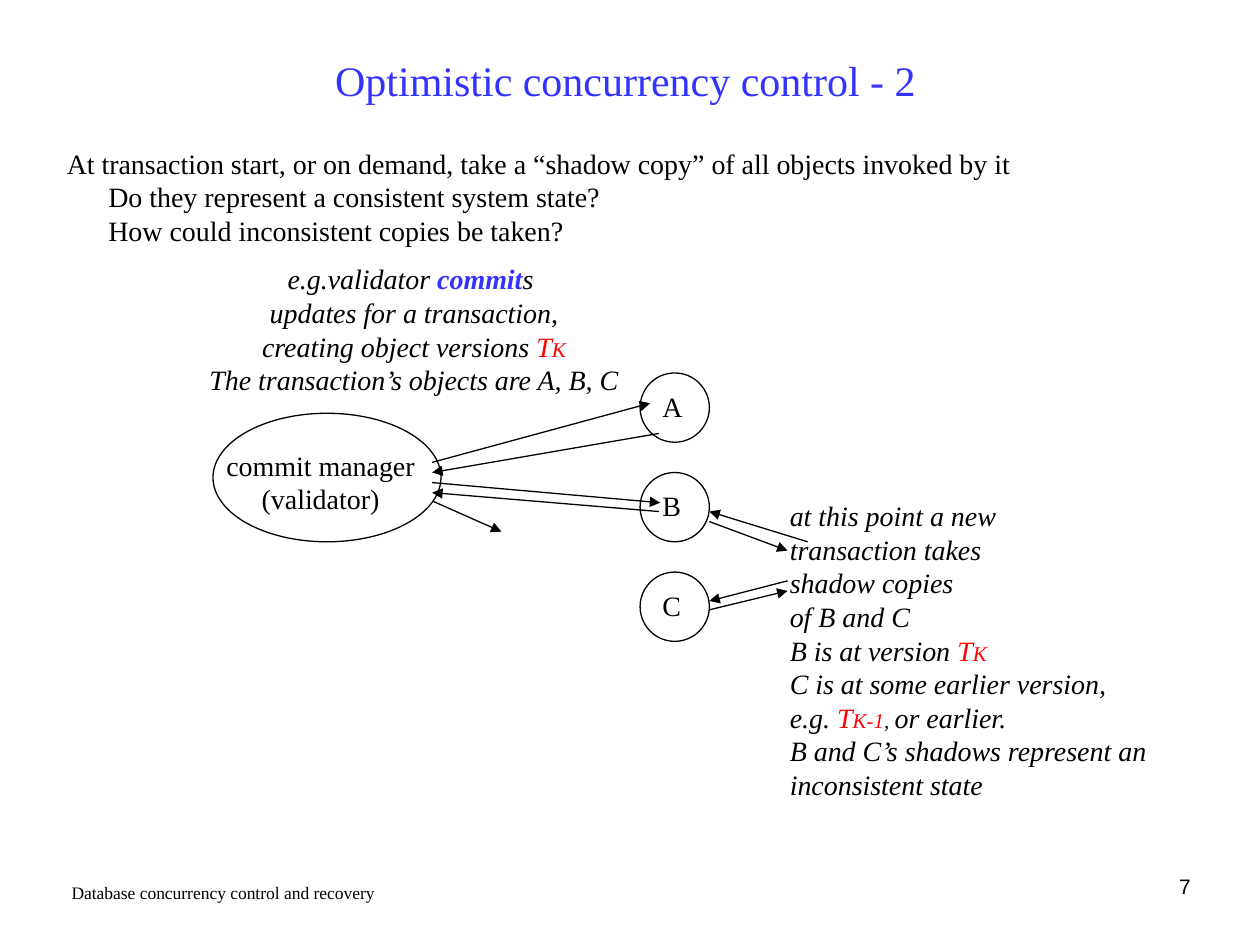
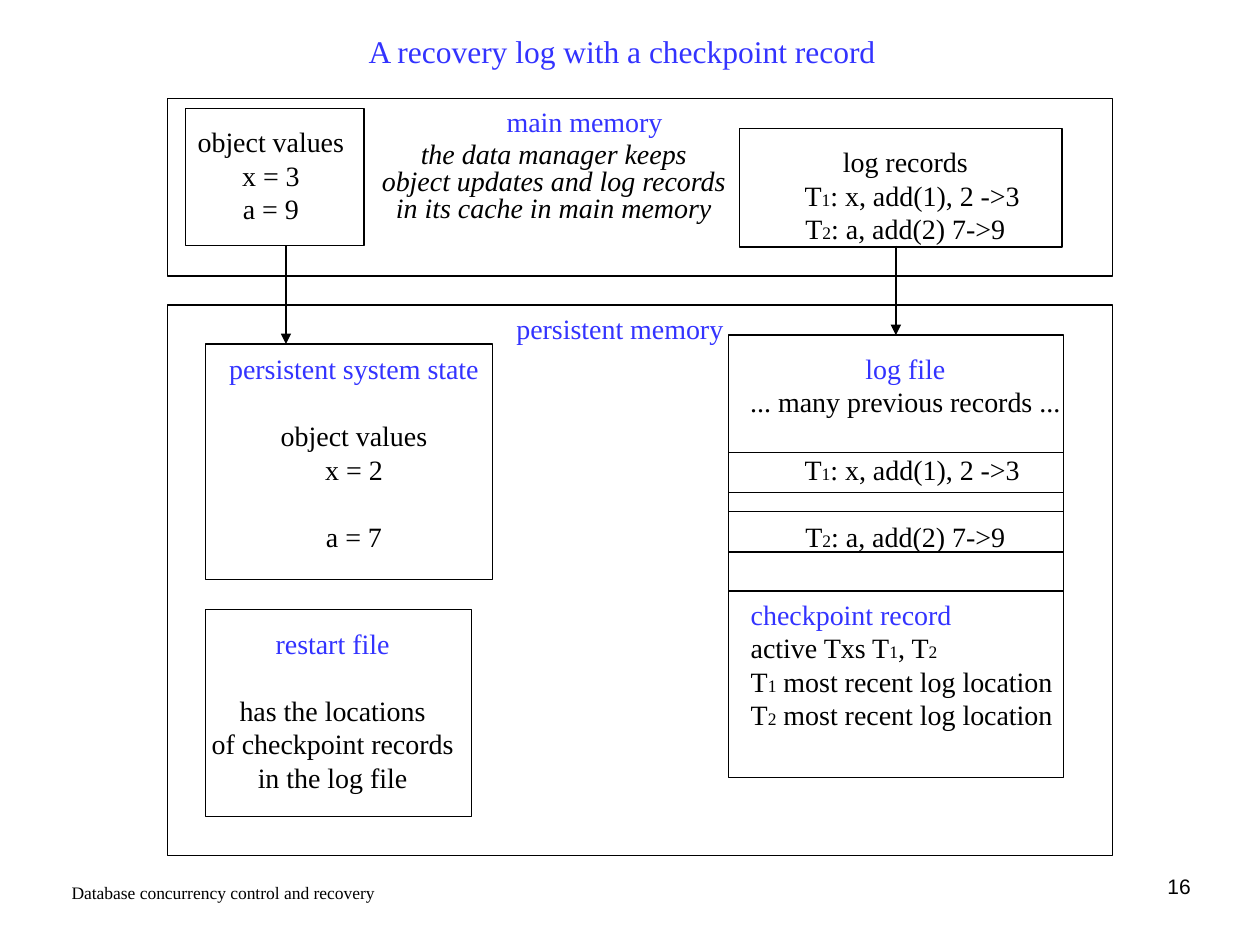
import dataclasses

import lxml.etree
import pptx
import pptx.dml.color
import pptx.enum.shapes
import pptx.enum.text
import pptx.oxml.ns
import pptx.util

Inches = pptx.util.Inches
Pt = pptx.util.Pt
Align = pptx.enum.text.PP_ALIGN
Shape = pptx.enum.shapes.MSO_SHAPE
Anchor = pptx.enum.text.MSO_ANCHOR
Fit = pptx.enum.text.MSO_AUTO_SIZE
qn = pptx.oxml.ns.qn


@dataclasses.dataclass(frozen=True)
class Theme:
    serif: str = "Times New Roman"
    sans: str = "Arial"
    black: str = "000000"
    blue: str = "3333FF"
    red: str = "FF0000"
    title: int = 24
    small_title: int = 18
    body: int = 16
    mark: int = 12
    sub: int = 10
    foot: int = 10
    page: int = 12
    thin: float = 0.75
    thick: float = 1.5
    blank: float = 19.2


THEME = Theme()

# Run styles: (size, colour, bold); None keeps the paragraph's setting.
STYLES = {
    "key": (None, THEME.blue, True),
    "version": (None, THEME.red, None),
    "index": (THEME.mark, THEME.red, None),
    "mark": (THEME.mark, None, None),
    "sub": (THEME.sub, None, None),
}


@dataclasses.dataclass
class Line:
    """One paragraph: plain strings or (text, style) pairs."""
    runs: list
    color: str = THEME.black
    gap: float = 0
    indent: float = 0


def line(*runs, **format):
    return Line(list(runs), **format)


def head(text):
    return line(text, color=THEME.blue)


def tint(font, color):
    font.color.rgb = pptx.dml.color.RGBColor.from_string(color)


def add_run(para, text, style=None):
    run = para.add_run()
    run.text = text
    if style:
        size, color, bold = STYLES[style]
        if size:
            run.font.size = Pt(size)
        if color:
            tint(run.font, color)
        if bold:
            run.font.bold = True


def write(frame, lines, size=THEME.body, align=Align.LEFT, italic=False,
          face=THEME.serif, space=1.0):
    for pos, item in enumerate(lines):
        if isinstance(item, str):
            item = line(item)
        para = frame.add_paragraph() if pos else frame.paragraphs[0]
        para.alignment = align
        para.line_spacing = space
        para.space_before = Pt(item.gap)
        props = para._p.get_or_add_pPr()
        props.set("marL", str(Inches(item.indent)))
        props.set("indent", "0")
        lxml.etree.SubElement(props, qn("a:buNone"))
        font = para.font
        font.name, font.size, font.italic = face, Pt(size), italic
        tint(font, item.color)
        for run in item.runs:
            add_run(para, *((run,) if isinstance(run, str) else run))


def add_text(slide, box, lines, wrap=False, **format):
    """Add a text box; one that does not wrap fits itself to its text."""
    frame = slide.shapes.add_textbox(*map(Inches, box)).text_frame
    frame.word_wrap = wrap
    frame.auto_size = Fit.NONE if wrap else Fit.SHAPE_TO_FIT_TEXT
    write(frame, lines, **format)


def add_box(slide, box, kind=Shape.RECTANGLE):
    shape = slide.shapes.add_shape(kind, *map(Inches, box))
    shape.shadow.inherit = False
    shape.fill.background()
    tint(shape.line, THEME.black)
    shape.line.width = Pt(THEME.thin)
    return shape


def add_rule(slide, start, end, arrow=False, width=THEME.thin):
    rule = slide.shapes.add_connector(
        pptx.enum.shapes.MSO_CONNECTOR.STRAIGHT, *map(Inches, start + end))
    tint(rule.line, THEME.black)
    rule.line.width = Pt(width)
    if arrow:
        tail = lxml.etree.SubElement(rule.line._get_or_add_ln(), qn("a:tailEnd"))
        tail.set("type", "triangle")
    lxml.etree.SubElement(rule._element.spPr, qn("a:effectLst"))
    return rule


def place(holder, box):
    holder.left, holder.top, holder.width, holder.height = map(Inches, box)
    frame = holder.text_frame
    frame.auto_size = Fit.NONE
    return frame


def add_slide(deck, layout, title, box, size, page):
    slide = deck.slides.add_slide(deck.slide_layouts[layout])
    frame = place(slide.shapes.title, box)
    frame.vertical_anchor = Anchor.MIDDLE
    write(frame, [head(title)], size=size, align=Align.CENTER)
    add_text(slide, (7.19, 6.88, 2.36, 0.36), [page], wrap=True,
             size=THEME.page, align=Align.RIGHT, face=THEME.sans)
    add_text(slide, (0.47, 6.95, 3.2, 0.36),
             ["Database concurrency control and recovery"], wrap=True,
             size=THEME.foot)
    return slide


def draw_control(deck):
    slide = add_slide(deck, 1, "Optimistic concurrency control - 2",
                      (0.43, 0.28, 9.07, 0.71), THEME.title, "7")
    write(place(slide.placeholders[1], (0.43, 1.11, 8.44, 0.9)), [
        "At transaction start, or on demand, take a “shadow copy” "
        "of all objects invoked by it",
        line("Do they represent a consistent system state?", indent=0.33),
        line("How could inconsistent copies be taken?", indent=0.33),
    ])

    add_box(slide, (1.69, 3.28, 1.81, 1.02), Shape.OVAL)
    add_text(slide, (1.68, 3.51, 1.73, 0.64),
             ["commit manager", "(validator)"], align=Align.CENTER)
    for row, name in enumerate("ABC"):
        top = 2.96 + 0.79 * row
        add_box(slide, (5.08, top, 0.55, 0.55), Shape.OVAL)
        add_text(slide, (5.16, top + 0.08, 0.36, 0.37), [name])

    version = ("T", "version")
    add_text(slide, (1.54, 2.03, 3.49, 1.17), [
        line("e.g.validator ", ("commit", "key"), "s "),
        "updates for a transaction,",
        line("creating object versions ", version, ("K", "index")),
        "The transaction’s objects are A, B, C",
    ], align=Align.CENTER, italic=True)
    add_text(slide, (6.17, 3.91, 3.63, 2.5), [
        "at this point a new",
        "transaction takes",
        "shadow copies",
        "of B and C",
        line("B is at version ", version, ("K", "index")),
        "C is at some earlier version,",
        line("e.g. ", version, ("K-1", "index"), (", ", "mark"), "or earlier."),
        "B and C’s shadows represent an",
        "inconsistent state",
    ], wrap=True, italic=True)

    arrows = [
        ((3.43, 3.67), (5.16, 3.2)), ((5.23, 3.44), (3.43, 3.75)),
        ((3.43, 3.83), (5.24, 3.99)), ((5.23, 4.06), (3.43, 3.91)),
        ((3.44, 3.98), (3.98, 4.22)),
        ((6.41, 4.3), (5.63, 4.06)), ((5.63, 4.14), (6.25, 4.37)),
        ((5.63, 4.84), (6.25, 4.69)), ((6.25, 4.61), (5.63, 4.77)),
    ]
    for start, end in arrows:
        add_rule(slide, start, end, arrow=True)


def log_lines(gap=0):
    """The two update records, each after the given gap in points."""
    return [
        line("T", ("1", "sub"), ": x, add(1), 2 ->3", gap=gap, indent=0.11),
        line("T", ("2", "sub"), ": a, add(2) 7->9", gap=gap),
    ]


def draw_main(slide):
    add_box(slide, (1.33, 0.78, 7.5, 1.41))
    add_text(slide, (3.91, 0.78, 1.46, 0.37), [head("main memory")],
             align=Align.CENTER)
    add_text(slide, (2.55, 1.09, 3.69, 0.74), [
        "the data manager keeps",
        "object updates and log records",
        "in its cache in main memory",
    ], align=Align.CENTER, italic=True, space=0.8)
    add_box(slide, (1.47, 0.86, 1.42, 1.09))
    add_text(slide, (1.41, 0.94, 1.48, 0.9),
             ["object values", "x = 3", "a = 9"], wrap=True,
             align=Align.CENTER)
    add_box(slide, (5.87, 1.02, 2.56, 0.94))
    add_text(slide, (5.78, 1.1, 2.81, 0.9), ["log records"] + log_lines(),
             wrap=True, align=Align.CENTER)


def draw_store(slide):
    """Draw persistent memory and return the log file's box."""
    blank = THEME.blank
    add_box(slide, (1.33, 2.42, 7.5, 4.37))
    add_text(slide, (3.99, 2.42, 1.86, 0.37), [head("persistent memory")],
             align=Align.CENTER)
    add_box(slide, (1.63, 2.73, 2.28, 1.87))
    add_text(slide, (1.56, 2.74, 2.5, 1.7), [
        head("persistent system state"),
        line("object values", gap=blank),
        "x = 2",
        line("a = 7", gap=blank),
    ], wrap=True, align=Align.CENTER)
    add_box(slide, (1.63, 4.84, 2.11, 1.64))
    add_text(slide, (1.57, 4.92, 2.14, 1.7), [
        head("restart file"),
        line("has the locations", gap=blank),
        "of checkpoint records",
        "in the log file",
    ], wrap=True, align=Align.CENTER)

    log = add_box(slide, (5.78, 2.66, 2.66, 2.03))
    add_text(slide, (5.78, 2.74, 2.81, 1.7),
             [head("log file"), "... many previous records ..."]
             + log_lines(blank), wrap=True, align=Align.CENTER)
    for top in (3.59, 4.06):
        for edge in (top, top + 0.32):
            add_rule(slide, (5.78, edge), (8.44, edge))
    add_box(slide, (5.78, 4.69, 2.66, 1.48))
    recent = [line("T", (num, "sub"), " most recent log location")
              for num in "12"]
    add_text(slide, (5.86, 4.69, 2.65, 1.17), [
        head("checkpoint record"),
        line("active Txs T", ("1", "sub"), ", T", ("2", "sub")),
    ] + recent, wrap=True)
    return log


def draw_log(deck):
    slide = add_slide(deck, 5, "A recovery log with a checkpoint record ",
                      (0.47, 0.23, 9, 0.34), THEME.small_title, "16")
    draw_main(slide)
    log = draw_store(slide)
    add_rule(slide, (2.27, 1.95), (2.27, 2.73), True, THEME.thick)
    flush = add_rule(slide, (7.11, 1.95), (7.11, 2.66), True, THEME.thick)
    flush.end_connect(log, 0)


def main():
    deck = pptx.Presentation()
    deck.slide_width, deck.slide_height = Inches(10), Inches(7.5)
    draw_control(deck)
    draw_log(deck)
    deck.save("out.pptx")


if __name__ == "__main__":
    main()
